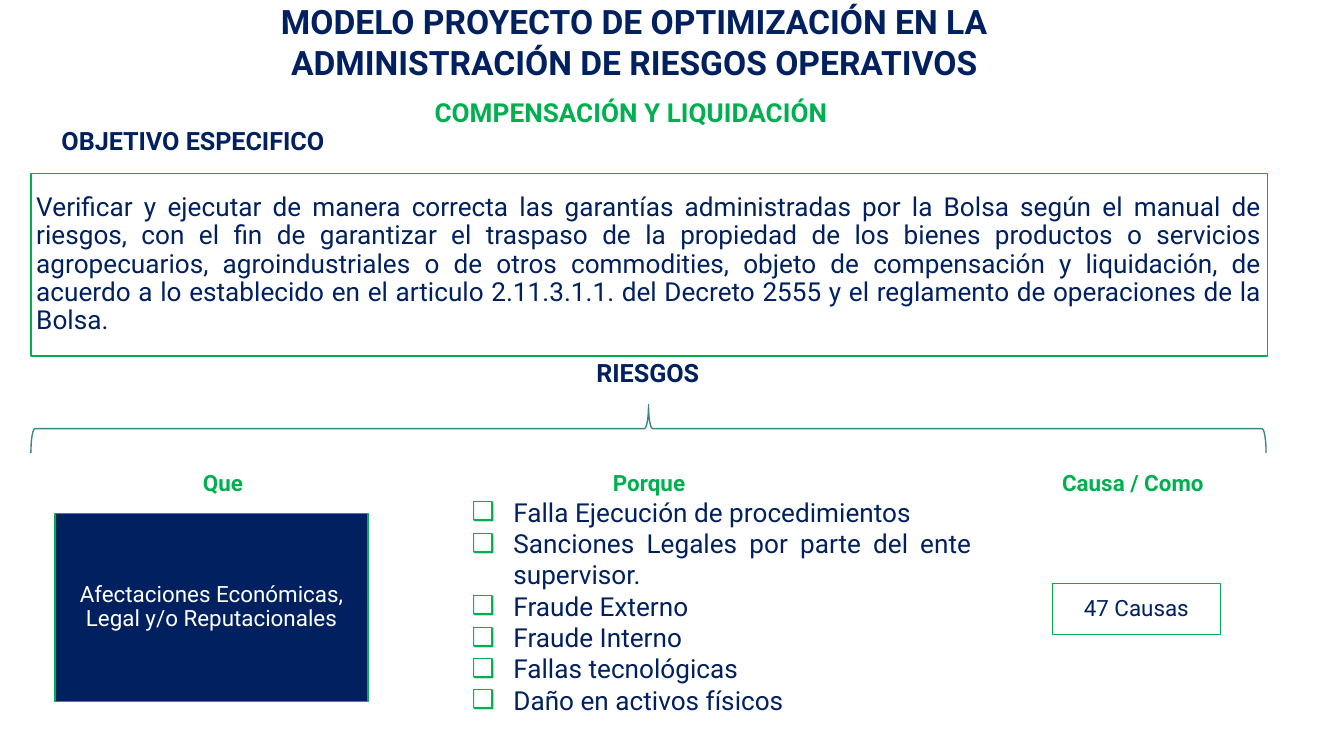
from dataclasses import dataclass

import pptx
import pptx.dml.color
import pptx.enum.shapes
import pptx.enum.text
import pptx.oxml
import pptx.oxml.ns
import pptx.util
from pptx.util import Inches

ALIGN = pptx.enum.text.PP_ALIGN
ANCHOR = pptx.enum.text.MSO_ANCHOR
SHAPE = pptx.enum.shapes.MSO_SHAPE
SLIDE_WIDTH = 10
SLIDE_HEIGHT = SLIDE_WIDTH * 9 / 16


@dataclass(frozen=True)
class Theme:
    font: str = "Roboto"
    navy: str = "002060"
    green: str = "00B050"
    teal: str = "398588"
    white: str = "FFFFFF"
    title: float = 18
    body: float = 14
    heading: float = 13.5
    label: float = 12
    line: float = 0.75


@dataclass(frozen=True)
class Box:
    left: float
    top: float
    width: float
    height: float

    def inner(self, left, top, width, height):
        """Return a box whose corner is given relative to this one."""
        return Box(self.left + left, self.top + top, width, height)

    def lengths(self):
        return [Inches(v) for v in (self.left, self.top, self.width, self.height)]


THEME = Theme()


def rgb(color):
    return pptx.dml.color.RGBColor.from_string(color)


def set_attributes(target, values):
    for name, value in values.items():
        setattr(target, name, value)


def write(frame, lines, size, color, bold=False, align=ALIGN.CENTER, spacing=1.0,
          anchor=ANCHOR.TOP, insets=(0.1, 0.05), bullet=None):
    side, end = map(Inches, insets)
    set_attributes(frame, {
        "word_wrap": True, "auto_size": pptx.enum.text.MSO_AUTO_SIZE.NONE,
        "vertical_anchor": anchor, "margin_left": side, "margin_right": side,
        "margin_top": end, "margin_bottom": end,
    })
    for index, line in enumerate(lines):
        paragraph = frame.add_paragraph() if index else frame.paragraphs[0]
        if bullet:
            add_bullet(paragraph, bullet)
        set_attributes(paragraph, {"alignment": align, "line_spacing": spacing,
                                   "space_before": pptx.util.Pt(0)})
        run = paragraph.add_run()
        run.text = line
        set_attributes(run.font, {"name": THEME.font, "size": pptx.util.Pt(size), "bold": bold})
        run.font.color.rgb = rgb(color)


def add_bullet(paragraph, character):
    properties = paragraph._p.get_or_add_pPr()
    properties.set("marL", str(Inches(0.31)))
    properties.set("indent", str(-Inches(0.31)))
    namespace = pptx.oxml.ns.nsdecls("a")
    for xml in (f'<a:buClr {namespace}><a:srgbClr val="{THEME.green}"/></a:buClr>',
                f'<a:buChar {namespace} char="{character}"/>'):
        properties.append(pptx.oxml.parse_xml(xml))


def add_label(slide, box, text, size, color):
    write(slide.shapes.add_textbox(*box.lengths()).text_frame, [text], size, color, bold=True)


def add_outline(slide, kind, box, line, fill=None):
    shape = slide.shapes.add_shape(kind, *box.lengths())
    shape.shadow.inherit = False
    shape.line.color.rgb = rgb(line)
    shape.line.width = pptx.util.Pt(THEME.line)
    if fill:
        shape.fill.solid()
        shape.fill.fore_color.rgb = rgb(fill)
    else:
        shape.fill.background()
    return shape


def place(placeholder, box):
    set_attributes(placeholder, dict(zip(("left", "top", "width", "height"), box.lengths())))
    return placeholder.text_frame


def add_header(slide, box):
    title = place(slide.shapes.title, box.inner(0.23, 0, 7.54, 0.71))
    write(title, ["MODELO PROYECTO DE OPTIMIZACIÓN EN LA ADMINISTRACIÓN DE RIESGOS OPERATIVOS"],
          THEME.title, THEME.navy, bold=True)
    add_label(slide, box.inner(0, 0.71, 7.95, 0.34), "COMPENSACIÓN Y LIQUIDACIÓN",
              THEME.body, THEME.green)


def add_objective(slide, box):
    add_label(slide, box.inner(-0.27, -0.41, 2.95, 0.33), "OBJETIVO ESPECIFICO",
              THEME.heading, THEME.navy)
    frame = add_outline(slide, SHAPE.RECTANGLE, box, THEME.green).text_frame
    write(frame, [
        "Verificar y ejecutar de manera correcta las garantías administradas por la Bolsa según "
        "el manual de riesgos, con el fin de garantizar el traspaso de la propiedad de los bienes "
        "productos o servicios agropecuarios, agroindustriales o de otros commodities, objeto de "
        "compensación y liquidación, de acuerdo a lo establecido en el articulo 2.11.3.1.1. del "
        "Decreto 2555 y el reglamento de operaciones de la Bolsa."],
        THEME.body, THEME.navy, align=ALIGN.JUSTIFY, spacing=0.9, anchor=ANCHOR.MIDDLE,
        insets=(0.04, 0.04))


def add_risk_brace(slide, box):
    add_label(slide, box.inner(0.72, -0.4, 7.74, 0.33), "RIESGOS", THEME.heading, THEME.navy)
    # A left brace turned a quarter: its unrotated box shares the centre of the drawn one.
    upright = box.inner((box.width - box.height) / 2, (box.height - box.width) / 2,
                        box.height, box.width)
    add_outline(slide, SHAPE.LEFT_BRACE, upright, THEME.teal).rotation = 90


def add_boxed_column(slide, box, heading, card, text, color, fill=None):
    add_label(slide, box.inner(0, 0, box.width, 0.3), heading, THEME.label, THEME.green)
    frame = add_outline(slide, SHAPE.RECTANGLE, card, THEME.green, fill).text_frame
    write(frame, [text], THEME.label, color, spacing=0.9, anchor=ANCHOR.MIDDLE,
          insets=(0.12, 0))


def add_reasons(slide, box):
    add_label(slide, box.inner(0.17, 0, 2.5, 0.3), "Porque", THEME.label, THEME.green)
    reasons = place(slide.placeholders[1], box.inner(0, 0.2, box.width, 1.75))
    write(reasons, ["Falla Ejecución de procedimientos",
                    "Sanciones Legales por parte del ente supervisor.",
                    "Fraude Externo", "Fraude Interno", "Fallas tecnológicas",
                    "Daño en activos físicos"],
          THEME.body, THEME.navy, align=ALIGN.JUSTIFY, bullet="❑")


def main():
    deck = pptx.Presentation()
    set_attributes(deck, {"slide_width": Inches(SLIDE_WIDTH),
                          "slide_height": Inches(SLIDE_HEIGHT)})
    slide = deck.slides.add_slide(deck.slide_layouts[1])
    add_header(slide, Box(0.72, -0.04, 7.95, 1.05))
    add_objective(slide, Box(0.23, 1.29, 9.2, 1.36))
    add_risk_brace(slide, Box(0.23, 3.01, 9.19, 0.36))
    effect = Box(0.41, 3.44, 2.5, 1.78)
    add_boxed_column(slide, effect, "Que", effect.inner(0, 0.38, 2.33, 1.4),
                     "Afectaciones Económicas, Legal y/o Reputacionales",
                     THEME.white, THEME.navy)
    add_reasons(slide, Box(3.41, 3.44, 3.92, 1.95))
    cause = Box(7.18, 3.44, 2.5, 1.28)
    add_boxed_column(slide, cause, "Causa / Como", cause.inner(0.65, 0.9, 1.25, 0.38),
                     "47 Causas", THEME.navy)
    deck.save("out.pptx")


if __name__ == "__main__":
    main()
